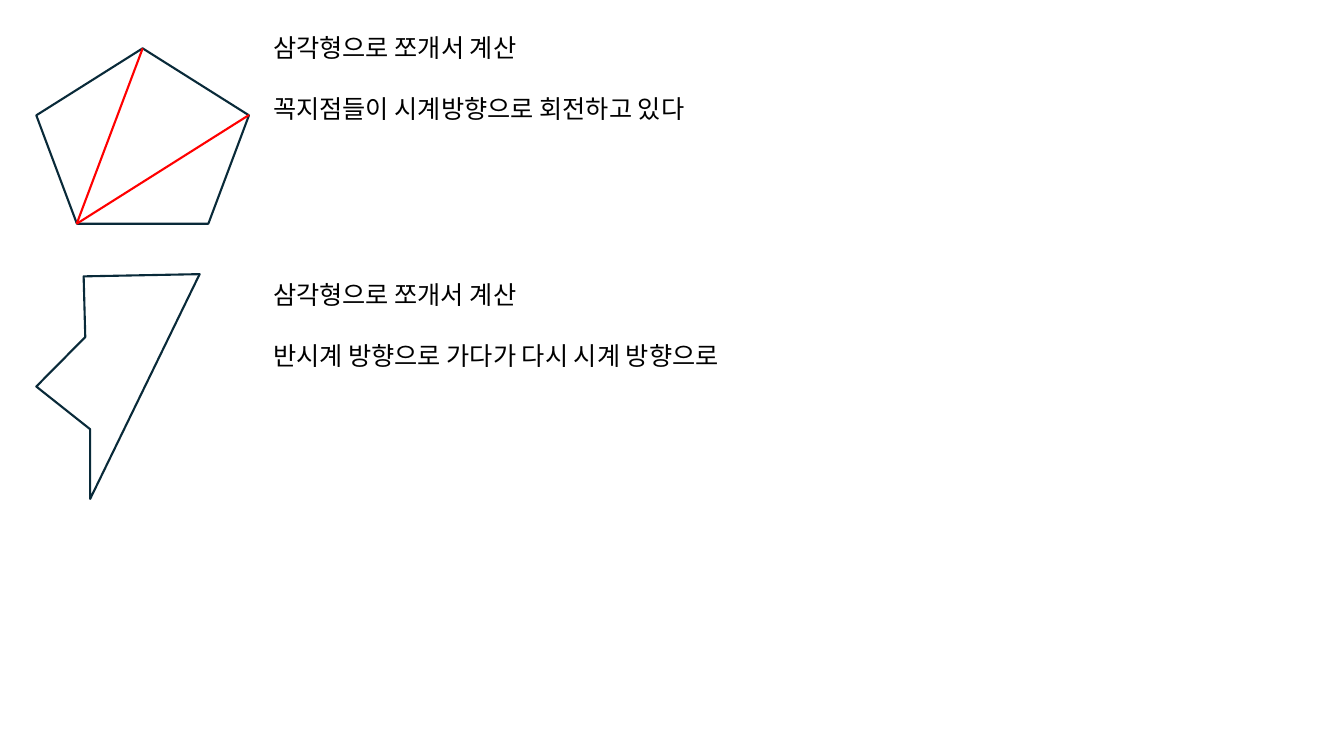
from dataclasses import dataclass

from lxml import etree
from pptx import Presentation
from pptx.dml.color import RGBColor
from pptx.enum.shapes import MSO_CONNECTOR, MSO_SHAPE
from pptx.oxml.ns import qn
from pptx.util import Inches, Pt

PENTAGON = MSO_SHAPE.REGULAR_PENTAGON
STRAIGHT = MSO_CONNECTOR.STRAIGHT


@dataclass(frozen=True)
class Theme:
    outline: RGBColor = RGBColor(0x09, 0x2A, 0x39)
    diagonal: RGBColor = RGBColor(0xFF, 0x00, 0x00)
    text: RGBColor = RGBColor(0x00, 0x00, 0x00)
    font: str = "Karla"
    size: Pt = Pt(18)
    gap: Pt = Pt(21.8)
    line: Pt = Pt(1.5)


THEME = Theme()

# Corners as shares of the polygon's box
PENTAGON_TOP = (0.5, 0)
PENTAGON_RIGHT = (1, 0.38)
PENTAGON_BOTTOM_LEFT = (0.19, 1)
CONCAVE_CORNERS = [(0.33, 1), (0.33, 0.69), (0, 0.5), (0.3, 0.28),
                   (0.29, 0.01), (1, 0)]


def point_in(box, share):
    left, top, width, height = box
    return Inches(left + share[0] * width), Inches(top + share[1] * height)


def style_outline(shape):
    shape.shadow.inherit = False
    shape.fill.background()
    shape.line.color.rgb = THEME.outline
    shape.line.width = THEME.line


def add_convex_polygon(s, box):
    """Pentagon split into triangles from its bottom left corner."""
    style_outline(s.shapes.add_shape(PENTAGON, *map(Inches, box)))
    start = point_in(box, PENTAGON_BOTTOM_LEFT)
    for corner in (PENTAGON_TOP, PENTAGON_RIGHT):
        diagonal = s.shapes.add_connector(STRAIGHT, *start, *point_in(box, corner))
        diagonal.line.color.rgb = THEME.diagonal
        diagonal.line.width = THEME.line
        etree.SubElement(diagonal._element.spPr, qn("a:effectLst"))


def add_concave_polygon(s, box):
    first, *others = [point_in(box, share) for share in CONCAVE_CORNERS]
    builder = s.shapes.build_freeform(*first)
    builder.add_line_segments(others, close=True)
    style_outline(builder.convert_to_shape())


def add_notes(s, box, lines):
    """Explanation beside a polygon, one paragraph per line."""
    tf = s.shapes.add_textbox(*map(Inches, box)).text_frame
    tf.word_wrap = True
    tf.text = "\n".join(lines)
    for i, p in enumerate(tf.paragraphs):
        p.space_before = THEME.gap if i else Pt(0)
        for r in p.runs:
            r.font.name = THEME.font
            r.font.size = THEME.size
            r.font.color.rgb = THEME.text


def main():
    prs = Presentation()
    prs.slide_width, prs.slide_height = Inches(13.33), Inches(7.5)
    s = prs.slides.add_slide(prs.slide_layouts[6])

    # Convex case
    add_convex_polygon(s, (0.36, 0.48, 2.11, 1.74))
    add_notes(s, (2.61, 0.27, 4.65, 1.01),
              ["삼각형으로 쪼개서 계산", "꼭지점들이 시계방향으로 회전하고 있다"])

    # Concave case
    add_concave_polygon(s, (0.36, 2.72, 1.62, 2.23))
    add_notes(s, (2.61, 2.72, 5, 1.01),
              ["삼각형으로 쪼개서 계산", "반시계 방향으로 가다가 다시 시계 방향으로"])

    prs.save("out.pptx")


if __name__ == "__main__":
    main()
